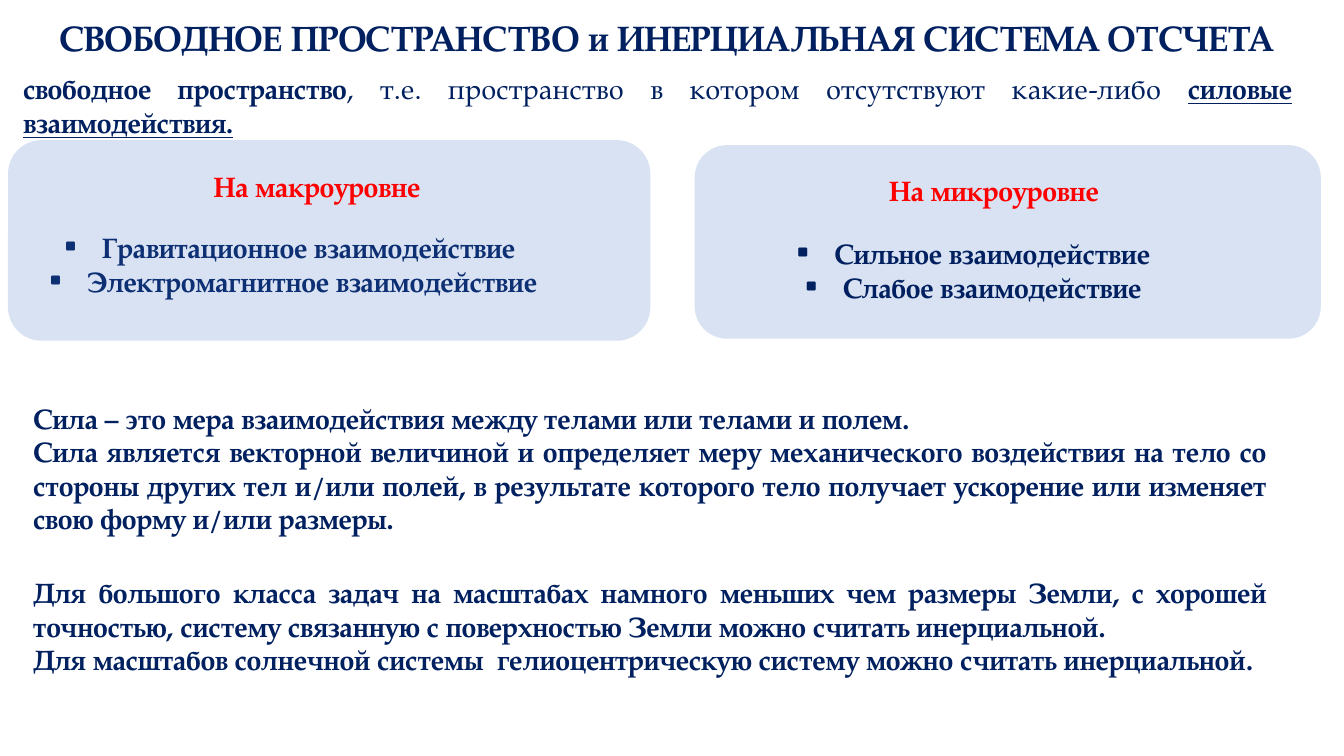
from lxml import etree
from pptx import Presentation
from pptx.dml.color import RGBColor
from pptx.enum.shapes import MSO_SHAPE
from pptx.enum.text import MSO_ANCHOR, PP_ALIGN
from pptx.oxml.ns import qn
from pptx.util import Inches, Pt

ROUNDED = MSO_SHAPE.ROUNDED_RECTANGLE
MIDDLE, TOP = MSO_ANCHOR.MIDDLE, MSO_ANCHOR.TOP
CENTER, JUSTIFY = PP_ALIGN.CENTER, PP_ALIGN.JUSTIFY

FONT = "TeX Gyre Pagella"
COLORS = {"navy": "002060", "red": "FF0000", "panel": "4472C4"}
PANEL_OPACITY = 20
BULLET = "▪"
BULLET_INDENT = Inches(0.38)

TITLE = "СВОБОДНОЕ ПРОСТРАНСТВО и ИНЕРЦИАЛЬНАЯ СИСТЕМА ОТСЧЕТА"
DEFINITION = [
    ("свободное пространство", True, False),
    (", т.е. пространство в котором отсутствуют какие-либо ", False, False),
    ("силовые взаимодействия.", True, True),
]
LEVELS = [
    {
        "heading": "На макроуровне",
        "interactions": ["Гравитационное взаимодействие ", "Электромагнитное взаимодействие"],
        "panel_box": (0.08, 1.39, 6.37, 1.99),
        "heading_box": (2.02, 1.63, 2.46, 0.44),
        "interactions_box": (0.13, 2.24, 5.55, 0.77),
        "panel_over_list": True,
    },
    {
        "heading": "На микроуровне",
        "interactions": ["Сильное взаимодействие", "Слабое взаимодействие"],
        "panel_box": (6.89, 1.44, 6.21, 1.92),
        "heading_box": (8.72, 1.67, 2.74, 0.44),
        "interactions_box": (7.18, 2.3, 4.94, 0.77),
        "panel_over_list": False,
    },
]
FORCE = [
    "Сила – это мера взаимодействия между телами или телами и полем.",
    "Сила является векторной величиной и определяет меру механического воздействия "
    "на тело со стороны других тел и/или полей, в результате которого тело получает "
    "ускорение или изменяет свою форму и/или размеры.",
]
INERTIAL_FRAMES = [
    "Для большого класса задач на масштабах намного меньших чем размеры Земли, "
    "с хорошей точностью, систему связанную с поверхностью Земли можно считать инерциальной.",
    "Для масштабов солнечной системы  гелиоцентрическую систему можно считать инерциальной.",
]


def add_bullet(paragraph):
    properties = paragraph._p.get_or_add_pPr()
    properties.set("marL", str(BULLET_INDENT))
    properties.set("indent", str(-BULLET_INDENT))
    etree.SubElement(properties, qn("a:buFont")).set("typeface", FONT)
    etree.SubElement(properties, qn("a:buChar")).set("char", BULLET)


def add_text(slide, box, paragraphs, align=JUSTIFY, size=20, color="navy",
             bulleted=False, anchor=TOP, line_spacing=None):
    frame = slide.shapes.add_textbox(*map(Inches, box)).text_frame
    frame.word_wrap = True
    frame.vertical_anchor = anchor
    for index, content in enumerate(paragraphs):
        paragraph = frame.add_paragraph() if index else frame.paragraphs[0]
        paragraph.alignment = align
        if line_spacing:
            paragraph.line_spacing = line_spacing
        if bulleted:
            add_bullet(paragraph)
        pieces = [(content, True, False)] if isinstance(content, str) else content
        for words, bold, underline in pieces:
            run = paragraph.add_run()
            run.text = words
            run.font.name = FONT
            run.font.size = Pt(size)
            run.font.bold = bold
            run.font.underline = underline
            run.font.color.rgb = RGBColor.from_string(COLORS[color])


def add_panel(slide, box):
    panel = slide.shapes.add_shape(ROUNDED, *map(Inches, box))
    panel.shadow.inherit = False
    panel.line.fill.background()
    panel.fill.solid()
    panel.fill.fore_color.rgb = RGBColor.from_string(COLORS["panel"])
    tint = panel._element.spPr.find(qn("a:solidFill")).find(qn("a:srgbClr"))
    etree.SubElement(tint, qn("a:alpha")).set("val", str(PANEL_OPACITY * 1000))


def add_level(slide, level):
    if not level["panel_over_list"]:
        add_panel(slide, level["panel_box"])
    add_text(slide, level["interactions_box"], level["interactions"], align=CENTER, bulleted=True)
    if level["panel_over_list"]:
        add_panel(slide, level["panel_box"])
    add_text(slide, level["heading_box"], [level["heading"]], color="red")


def main():
    presentation = Presentation()
    presentation.slide_width = Inches(13.33)
    presentation.slide_height = Inches(7.5)
    slide = presentation.slides.add_slide(presentation.slide_layouts[6])

    add_text(slide, (0.13, 0.03, 12.97, 0.74), [TITLE], align=CENTER, size=25.2,
             anchor=MIDDLE, line_spacing=0.9)
    add_text(slide, (0.13, 0.66, 12.78, 0.77), [DEFINITION])
    for level in LEVELS:
        add_level(slide, level)
    for top, statements in ((3.93, FORCE), (5.66, INERTIAL_FRAMES)):
        add_text(slide, (0.23, top, 12.43, 1.78), statements)

    presentation.save("out.pptx")


if __name__ == "__main__":
    main()
